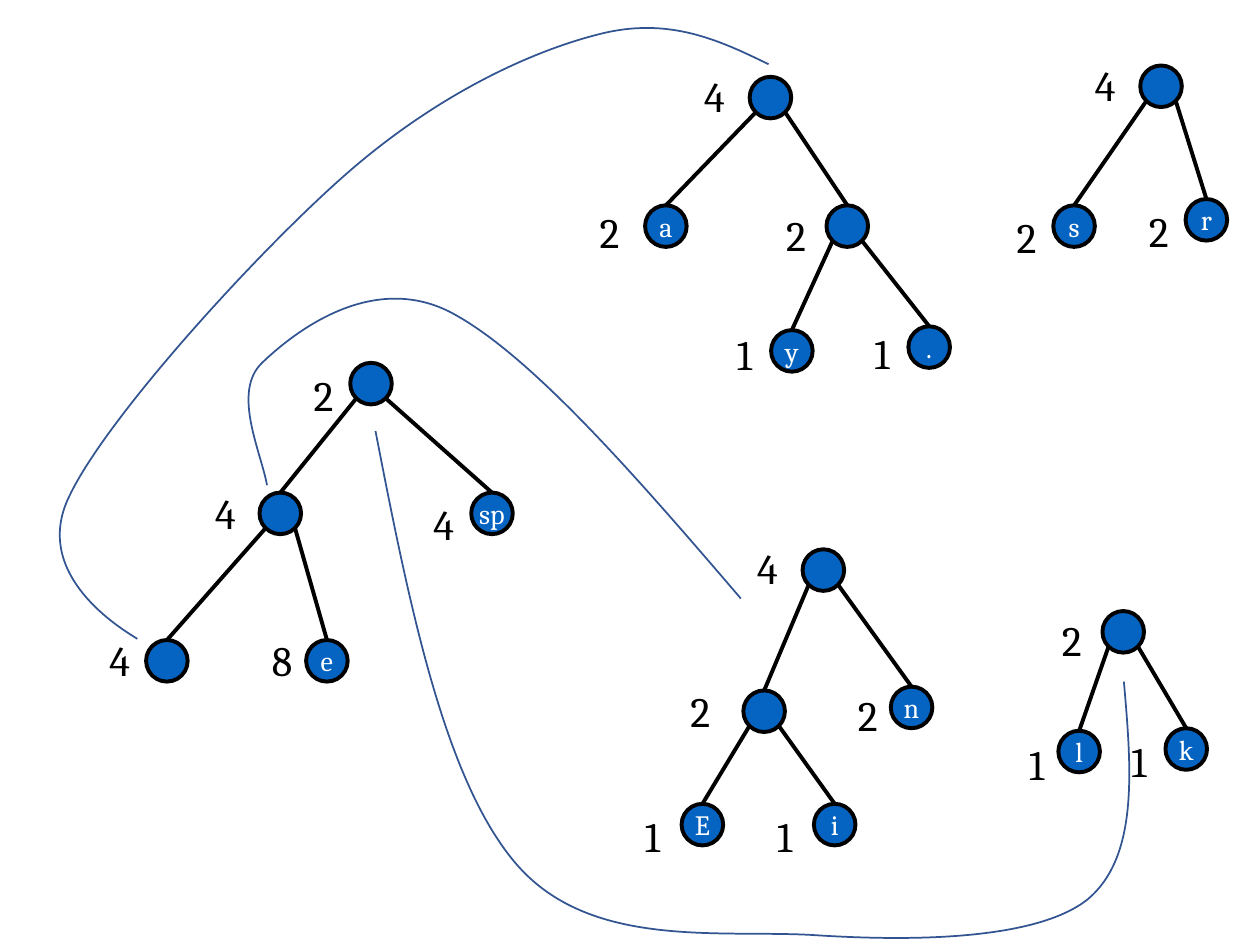
from math import sqrt

from lxml.etree import SubElement
from pptx import Presentation
from pptx.dml.color import RGBColor
from pptx.enum.shapes import MSO_CONNECTOR as Connector, MSO_SHAPE as Shape
from pptx.enum.text import MSO_ANCHOR as Anchor, MSO_AUTO_SIZE as AutoSize, PP_ALIGN as Align
from pptx.oxml.ns import qn
from pptx.util import Inches, Pt

BLACK = RGBColor(0x00, 0x00, 0x00)
WHITE = RGBColor(0xFF, 0xFF, 0xFF)
NODE_BLUE = RGBColor(0x05, 0x63, 0xC1)
CURVE_BLUE = RGBColor(0x32, 0x54, 0x91)
FONT = "Cambria"
DIAMETER = 0.33
LABEL_WIDTH, LABEL_HEIGHT = 0.39, 0.5

# Node: left, top, letter, weight, weight left, weight top, children
TREES = [
    (2.78, 2.88, "", "2", 2.39, 2.88, [
        (2.06, 3.91, "", "4", 1.61, 3.82, [
            (1.16, 5.08, "", "4", 0.77, 4.99, []),
            (2.43, 5.08, "e", "8", 2.06, 4.99, []),
        ]),
        (3.74, 3.91, "sp", "4", 3.34, 3.91, []),
    ]),
    (9.05, 0.52, "", "4", 8.59, 0.42, [
        (8.36, 1.63, "s", "2", 7.97, 1.63, []),
        (9.41, 1.58, "r", "2", 9.02, 1.58, []),
    ]),
    (6.37, 4.36, "", "4", 5.91, 4.26, [
        (5.9, 5.48, "", "2", 5.38, 5.39, [
            (5.41, 6.38, "E", "1", 5.02, 6.38, []),
            (6.46, 6.38, "i", "1", 6.07, 6.38, []),
        ]),
        (7.07, 5.45, "n", "2", 6.71, 5.42, []),
    ]),
    (8.75, 4.85, "", "2", 8.33, 4.83, [
        (8.4, 5.8, "l", "1", 8.07, 5.81, []),
        (9.25, 5.78, "k", "1", 8.88, 5.79, []),
    ]),
    (5.95, 0.61, "", "4", 5.49, 0.51, [
        (5.12, 1.63, "a", "2", 4.66, 1.59, []),
        (6.56, 1.63, "", "2", 6.14, 1.61, [
            (6.12, 2.62, "y", "1", 5.75, 2.56, []),
            (7.21, 2.59, ".", "1", 6.84, 2.55, []),
        ]),
    ]),
]

# Curve: bounding box (left, top, right, bottom), then start and Bezier points
CURVES = [
    ((0.48, 0.22, 6.1, 5.07), [
        (6.1, 0.51), (5.71, 0.32), (5.31, 0.13), (4.76, 0.27),
        (4.2, 0.41), (3.46, 0.76), (2.76, 1.37),
        (2.05, 1.99), (0.82, 3.34), (0.54, 3.96),
        (0.26, 4.57), (0.96, 4.99), (1.09, 5.07)]),
    ((1.98, 2.37, 5.88, 4.75), [
        (5.88, 4.75), (5.04, 3.77), (4.19, 2.79), (3.56, 2.47),
        (2.93, 2.16), (2.32, 2.65), (2.08, 2.88),
        (1.84, 3.11), (2.07, 3.58), (2.12, 3.85)]),
    ((2.98, 3.42, 8.96, 7.44), [
        (8.92, 5.41), (8.98, 6.1), (9.04, 6.8), (8.63, 7.14),
        (8.21, 7.47), (7.19, 7.47), (6.44, 7.42),
        (5.69, 7.38), (4.68, 7.53), (4.1, 6.86),
        (3.53, 6.2), (3.25, 4.81), (2.98, 3.42)]),
]


def write_text(shape, text, size, color, align=Align.LEFT, anchor=Anchor.TOP):
    frame = shape.text_frame
    frame.word_wrap = False
    frame.vertical_anchor = anchor
    paragraph = frame.paragraphs[0]
    paragraph.alignment = align
    run = paragraph.add_run()
    run.text = text
    run.font.name = FONT
    run.font.size = Pt(size)
    run.font.color.rgb = color


class TreeSlide:
    def __init__(self, slide):
        self.shapes = slide.shapes

    def outline(self, shape, color, width):
        shape.line.color.rgb = color
        shape.line.width = Pt(width)

    def node(self, left, top, letter):
        circle = self.shapes.add_shape(
            Shape.OVAL, Inches(left), Inches(top), Inches(DIAMETER), Inches(DIAMETER))
        circle.shadow.inherit = False
        circle.fill.solid()
        circle.fill.fore_color.rgb = NODE_BLUE
        self.outline(circle, BLACK, 2.25)
        if letter:
            write_text(circle, letter, size=16, color=WHITE,
                       align=Align.CENTER, anchor=Anchor.MIDDLE)
        return circle

    def weight(self, left, top, text):
        box = self.shapes.add_textbox(
            Inches(left), Inches(top), Inches(LABEL_WIDTH), Inches(LABEL_HEIGHT))
        write_text(box, text, size=24, color=BLACK)
        box.text_frame.auto_size = AutoSize.SHAPE_TO_FIT_TEXT

    def edge(self, child, parent):
        """Join the child's top to the parent's lower diagonal on the child's side."""
        side = -1 if child.left < parent.left else 1
        radius = parent.width / 2
        reach = radius / sqrt(2)
        end_x = int(parent.left + radius + side * reach)
        end_y = int(parent.top + radius + reach)
        line = self.shapes.add_connector(
            Connector.STRAIGHT, child.left, child.top, end_x, end_y)
        line.begin_connect(child, 0)
        self.outline(line, BLACK, 2.25)
        SubElement(line._element.spPr, qn("a:effectLst"))

    def tree(self, left, top, letter, weight, weight_left, weight_top, children):
        root = self.node(left, top, letter)
        self.weight(weight_left, weight_top, weight)
        for child in children:
            self.edge(self.tree(*child), root)
        return root

    def curve(self, box, points):
        """Draw an open chain of cubic Bezier segments inside its bounding box."""
        left, top, right, bottom = map(Inches, box)
        builder = self.shapes.build_freeform(left, top)
        builder.add_line_segments([(right, bottom)], close=False)
        shape = builder.convert_to_shape()
        shape.shadow.inherit = False
        shape.fill.background()
        self.outline(shape, CURVE_BLUE, 1)

        outline_path = next(shape._element.iter(qn("a:path")))
        for segment in list(outline_path):
            outline_path.remove(segment)
        segments = [("a:moveTo", points[:1])]
        segments += [("a:cubicBezTo", points[i:i + 3]) for i in range(1, len(points), 3)]
        for tag, segment_points in segments:
            segment = SubElement(outline_path, qn(tag))
            for x, y in segment_points:
                SubElement(segment, qn("a:pt"),
                           x=str(Inches(x) - left), y=str(Inches(y) - top))


def main():
    presentation = Presentation()
    presentation.slide_width = Inches(10)
    presentation.slide_height = Inches(7.5)
    blank_layout = presentation.slide_layouts[6]
    tree_slide = TreeSlide(presentation.slides.add_slide(blank_layout))
    for tree in TREES:
        tree_slide.tree(*tree)
    for box, points in CURVES:
        tree_slide.curve(box, points)
    presentation.save("out.pptx")


if __name__ == "__main__":
    main()
